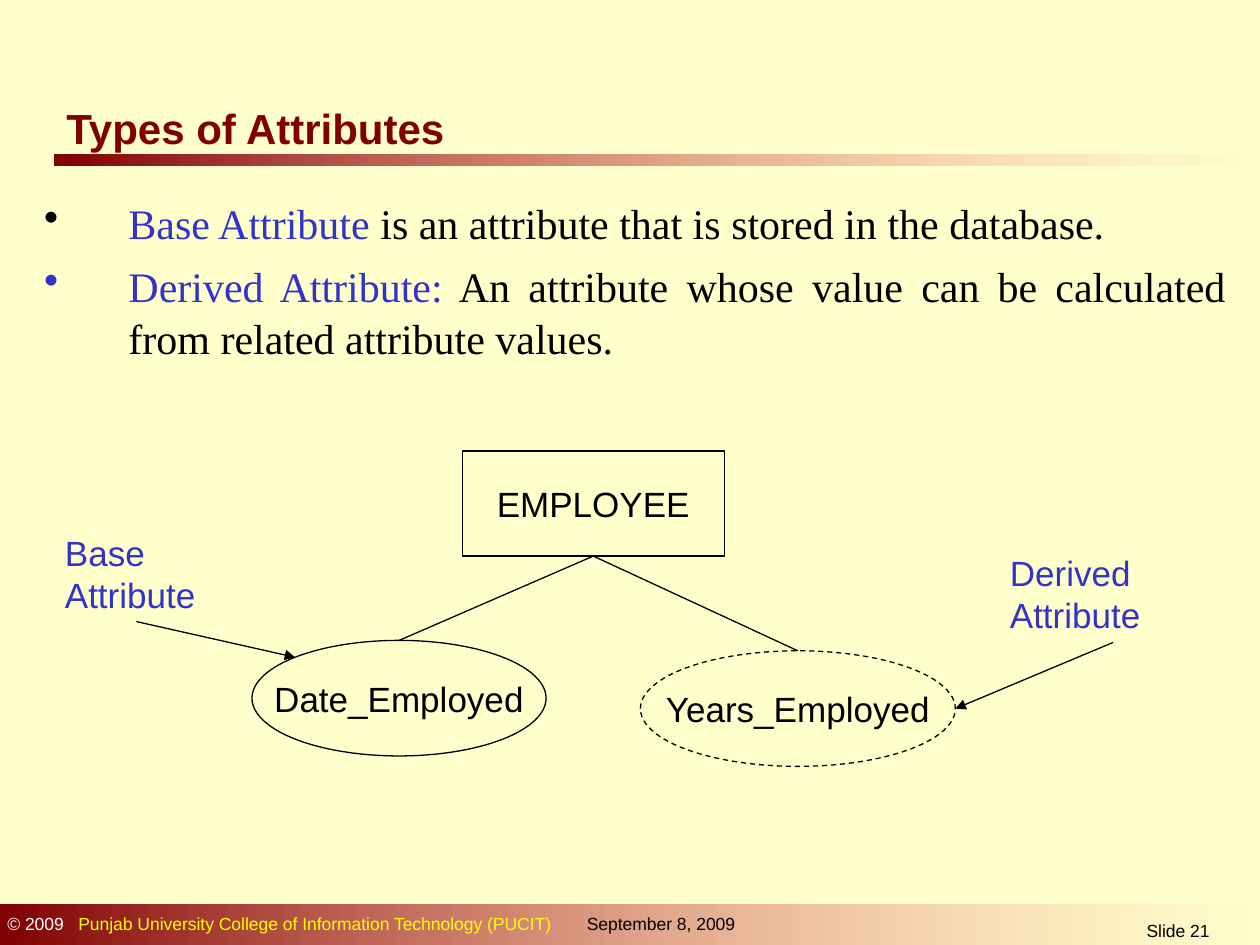
from lxml import etree
from pptx import Presentation
from pptx import util as u
from pptx.dml.color import RGBColor
from pptx.enum import dml, shapes, text
from pptx.oxml.ns import qn

COLORS = {
    "cream": "FFFFCC",
    "maroon": "800000",
    "pink": "FF8585",
    "white": "FFFFFF",
    "yellow": "FFFF00",
    "blue": "3333CC",
    "black": "000000",
}


def rgb(name):
    """Return the named colour."""
    return RGBColor.from_string(COLORS[name])


def box(at):
    """Convert a sequence of centimetres to lengths."""
    return [u.Cm(v) for v in at]


def add_runs(p, runs, size, font="Arial", bold=False):
    """Add (text, colour) runs to a paragraph."""
    for words, color in runs:
        r = p.add_run()
        r.text = words
        r.font.size = u.Pt(size)
        r.font.name = font
        r.font.bold = bold
        r.font.color.rgb = rgb(color)


def add_text(s, at, runs, size, bold=False, align=None, anchor=text.MSO_ANCHOR.TOP):
    """Add a wrapped text box with one paragraph and return the paragraph."""
    tf = s.shapes.add_textbox(*box(at)).text_frame
    tf.word_wrap = True
    tf.vertical_anchor = anchor
    p = tf.paragraphs[0]
    p.alignment = align
    add_runs(p, runs, size, bold=bold)
    return p


def add_tab(p, pos):
    """Give a paragraph one left tab stop."""
    tabs = etree.SubElement(p._p.get_or_add_pPr(), qn("a:tabLst"))
    etree.SubElement(tabs, qn("a:tab"), pos=str(u.Cm(pos)), algn="l")


def add_bar(s, at):
    """Add a bar that fades out to the right."""
    sp = s.shapes.add_shape(shapes.MSO_SHAPE.RECTANGLE, *box(at))
    sp.shadow.inherit = False
    sp.line.fill.background()
    sp.fill.gradient()
    sp.fill.gradient_angle = 0
    for stop, color in zip(sp.fill.gradient_stops, ("maroon", "pink")):
        stop.color.rgb = rgb(color)
    end = sp._element.spPr.findall(".//" + qn("a:srgbClr"))[-1]
    etree.SubElement(end, qn("a:alpha"), val="0")


def add_bullets(s, at, items):
    """Add the bulleted definitions, each a term and its meaning."""
    tf = s.shapes.add_textbox(*box(at)).text_frame
    tf.word_wrap = True
    for i, (bullet, align, runs) in enumerate(items):
        p = tf.add_paragraph() if i else tf.paragraphs[0]
        p.alignment = align
        p.line_spacing = 1.04
        p.space_before = u.Pt(6 if i else 0)
        pPr = p._p.get_or_add_pPr()
        pPr.set("marL", str(u.Cm(1.7)))
        pPr.set("indent", str(-u.Cm(1.7)))
        clr = etree.SubElement(pPr, qn("a:buClr"))
        etree.SubElement(clr, qn("a:srgbClr"), val=COLORS[bullet])
        etree.SubElement(pPr, qn("a:buChar"), char="•")
        add_runs(p, runs, 24, "Times New Roman")


def add_node(s, kind, at, label, dash=None):
    """Add an outlined diagram node with a centred label."""
    sp = s.shapes.add_shape(kind, *box(at))
    sp.shadow.inherit = False
    sp.fill.background()
    sp.line.color.rgb = rgb("black")
    sp.line.width = u.Pt(0.75)
    sp.line.dash_style = dash
    tf = sp.text_frame
    tf.word_wrap = False
    tf.vertical_anchor = text.MSO_ANCHOR.MIDDLE
    p = tf.paragraphs[0]
    p.alignment = text.PP_ALIGN.CENTER
    add_runs(p, [(label, "black")], 20)
    return sp


def add_line(s, start, end, arrow=False):
    """Add a straight line, with an arrowhead at its end if wanted."""
    c = s.shapes.add_connector(shapes.MSO_CONNECTOR.STRAIGHT, *start, *end)
    c.line.color.rgb = rgb("black")
    c.line.width = u.Pt(0.75)
    if arrow:
        etree.SubElement(c.line._get_or_add_ln(), qn("a:tailEnd"), type="triangle")
    etree.SubElement(c._element.spPr, qn("a:effectLst"))


def top(sp):
    """Return the middle of a shape's top edge."""
    return sp.left + sp.width // 2, sp.top


def add_diagram(s):
    """Draw the entity, its two attributes and their labels."""
    oval = shapes.MSO_SHAPE.OVAL
    entity = add_node(s, shapes.MSO_SHAPE.RECTANGLE, (9.32, 9.09, 5.28, 2.12), "EMPLOYEE")
    base = add_node(s, oval, (5.08, 12.91, 5.93, 2.33), "Date_Employed")
    derived = add_node(s, oval, (12.91, 13.12, 6.35, 2.33), "Years_Employed",
                       dml.MSO_LINE.DASH)
    foot = (entity.left + entity.width // 2, entity.top + entity.height)
    for attribute in (base, derived):
        add_line(s, foot, top(attribute))
    add_text(s, (1.06, 10.58, 3.39, 1.96), [("Base Attribute", "blue")], 20)
    add_text(s, (20.11, 11, 4.66, 1.96), [("Derived Attribute", "blue")], 20)
    add_line(s, box((2.75, 12.53)), box((5.95, 13.25)), arrow=True)
    side = (derived.left + derived.width, derived.top + derived.height // 2)
    add_line(s, box((22.44, 12.95)), side, arrow=True)


def add_footer(s):
    """Add the footer bar with its copyright, date and slide number."""
    add_bar(s, (0, 18.24, 25.48, 0.89))
    p = add_text(s, (-0.1, 18.29, 12, 0.69), [
        ("© 2009", "white"),
        ("\tPunjab University College of Information Technology (PUCIT)", "yellow"),
    ], 10)
    add_tab(p, 1.43)
    add_text(s, (11.58, 18.29, 3.9, 0.69), [("September 8, 2009", "black")], 10)
    add_text(s, (21.11, 18.43, 5.28, 0.61), [("Slide 21", "black")], 10,
             align=text.PP_ALIGN.CENTER)


def main():
    """Build the slide and save it."""
    prs = Presentation()
    prs.slide_width, prs.slide_height = box((25.4, 19.05))
    s = prs.slides.add_slide(prs.slide_layouts[6])
    s.background.fill.solid()
    s.background.fill.fore_color.rgb = rgb("cream")
    add_bar(s, (1.09, 3.12, 24.31, 0.21))
    add_footer(s)
    add_text(s, (1.09, 1.93, 8.46, 1.27), [("Types of Attributes", "maroon")], 24,
             bold=True, anchor=text.MSO_ANCHOR.MIDDLE)
    add_bullets(s, (0.64, 3.81, 24.33, 4.95), [
        ("black", text.PP_ALIGN.LEFT, [
            ("Base Attribute", "blue"),
            (" is an attribute that is stored in the database.", "black"),
        ]),
        ("blue", text.PP_ALIGN.JUSTIFY, [
            ("Derived Attribute:", "blue"),
            (" An attribute whose value can be calculated from related attribute values.",
             "black"),
        ]),
    ])
    add_diagram(s)
    prs.save("out.pptx")


if __name__ == "__main__":
    main()
